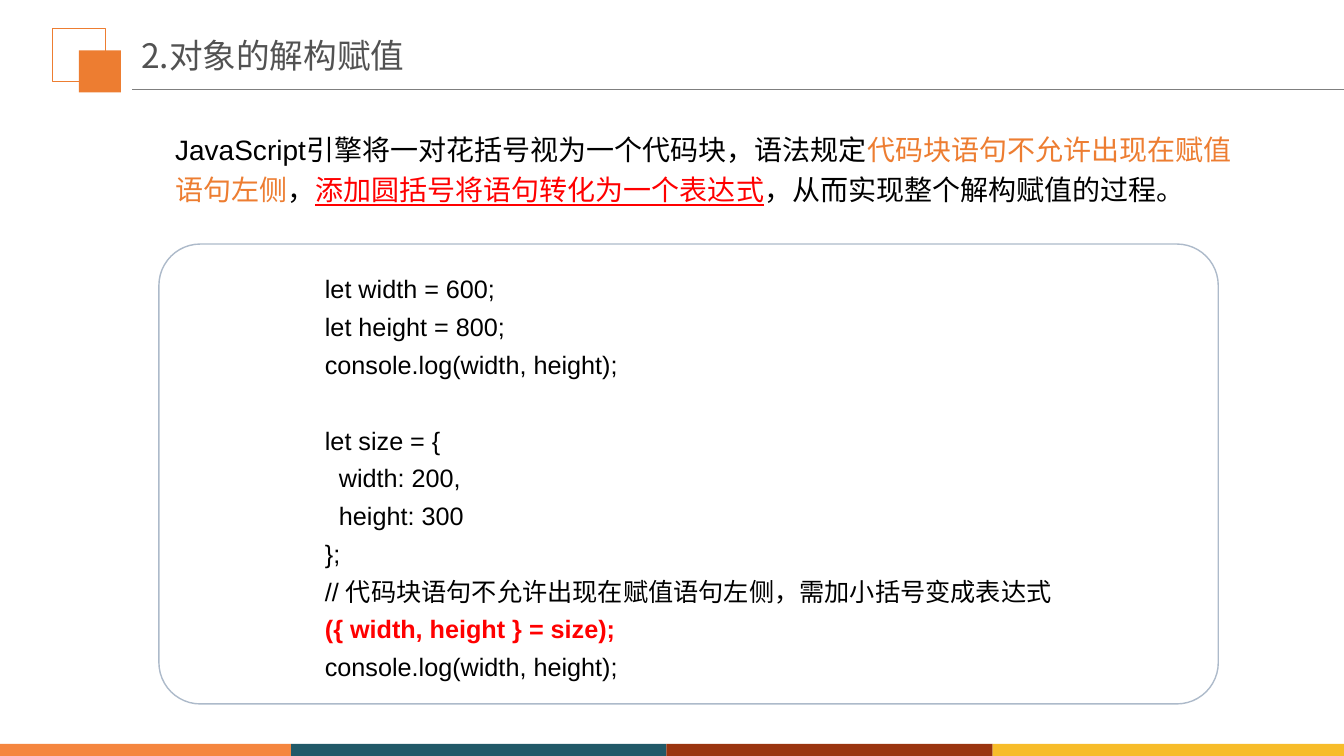
from itertools import pairwise

from pptx import Presentation
from pptx.dml.color import RGBColor as Rgb
from pptx.enum.lang import MSO_LANGUAGE_ID as Lang
from pptx.enum.shapes import MSO_CONNECTOR as Link, MSO_SHAPE as Shape
from pptx.enum.text import MSO_ANCHOR as Anchor, MSO_AUTO_SIZE as Fit, PP_ALIGN as Align
from pptx.oxml.ns import qn
from pptx.util import Pt

COLORS = {
    "orange": "ED7D31", "red": "FF0000", "black": "000000", "title": "525252",
    "rule": "7F7F7F", "frame": "ADBACA", "stripe_orange": "F5863F",
    "stripe_teal": "215968", "stripe_rust": "9A340F", "stripe_gold": "F7BC29",
}
HAN_FONT = "Noto Sans CJK SC"
PAGE_WIDTH, PAGE_HEIGHT = 960, 540

TITLE = "2.对象的解构赋值"
EXPLANATION = [
    ("JavaScript引擎将一对花括号视为一个代码块，语法规定", {}),
    ("代码块语句不允许出现在赋值语句左侧", {"color": "orange"}),
    ("，", {}),
    ("添加圆括号将语句转化为一个表达式", {"color": "red", "underline": True}),
    ("，从而实现整个解构赋值的过程。", {}),
]
NESTED = {"indent": 10}
CODE_LINES = [
    ("let width = 600;", {}, {}),
    ("let height = 800;", {}, {}),
    ("console.log(width, height);", {}, {}),
    ("let size = {", {}, {"space_before": Pt(27)}),
    ("width: 200,", {}, NESTED),
    ("height: 300", {}, NESTED),
    ("};", {}, {}),
    ("// 代码块语句不允许出现在赋值语句左侧，需加小括号变成表达式", {}, {}),
    ("({ width, height } = size);", {"color": "red", "bold": True}, {}),
    ("console.log(width, height);", {}, {}),
]


def set_all(target, values):
    """Set every attribute in a dict of format values."""
    for name, value in values.items():
        setattr(target, name, value)


def place(shape, box):
    """Move a shape to a box of left, top, width and height."""
    set_all(shape, dict(zip(("left", "top", "width", "height"), map(Pt, box))))


def add_span(para, text, size, color="black", name="Arial", **style):
    """Add a formatted run with its Latin and Chinese fonts."""
    span = para.add_run()
    span.text = text
    set_all(span.font, {"size": Pt(size), "name": name,
                        "language_id": Lang.SIMPLIFIED_CHINESE, **style})
    span.font.color.rgb = Rgb.from_string(COLORS[color])
    latin = span.font._element.find(qn("a:latin"))
    latin.addnext(latin.makeelement(qn("a:ea"), {"typeface": HAN_FONT}))


def format_para(para, indent=0, **style):
    """Set the spacing and left indent of a paragraph."""
    set_all(para, style)
    if indent:
        para._p.get_or_add_pPr().set("marL", str(Pt(indent)))


def add_block(page, kind, box, fill=None, line=None, weight=1):
    """Add a flat preset shape with an optional fill and outline."""
    shape = page.shapes.add_shape(kind, *map(Pt, box))
    shape.shadow.inherit = False
    if fill:
        shape.fill.solid()
        shape.fill.fore_color.rgb = Rgb.from_string(COLORS[fill])
    else:
        shape.fill.background()
    if line:
        shape.line.color.rgb = Rgb.from_string(COLORS[line])
        shape.line.width = Pt(weight)
    else:
        shape.line.fill.background()
    return shape


def add_text_frame(page, box):
    """Add a wrapping text box and return its frame."""
    frame = page.shapes.add_textbox(*map(Pt, box)).text_frame
    set_all(frame, {"word_wrap": True, "auto_size": Fit.SHAPE_TO_FIT_TEXT})
    return frame


def add_header(page, box):
    """Draw the paired squares, the rule and the title."""
    left, top, width, height = box
    add_block(page, Shape.RECTANGLE, (left, top, 38, 38), line="orange", weight=0.75)
    add_block(page, Shape.RECTANGLE, (left + 19, top + 15.5, 30, 30), fill="orange")
    rule_y = top + height
    rule = page.shapes.add_connector(
        Link.STRAIGHT, *map(Pt, (left + 57, rule_y, left + width, rule_y)))
    rule.line.color.rgb = Rgb.from_string(COLORS["rule"])
    rule.line.width = Pt(0.75)
    effects = rule._element.spPr
    effects.append(effects.makeelement(qn("a:effectLst"), {}))
    title = page.shapes.title
    place(title, (left + 56.2, top, 381, 41.8))
    set_all(title.text_frame, {"vertical_anchor": Anchor.MIDDLE, "word_wrap": True,
                               "auto_size": Fit.NONE})
    para = title.text_frame.paragraphs[0]
    format_para(para, alignment=Align.LEFT, line_spacing=0.9)
    add_span(para, TITLE, 24, "title", HAN_FONT)


def add_explanation(page, box):
    """Write the explanation with its highlighted phrases."""
    para = add_text_frame(page, box).paragraphs[0]
    format_para(para, line_spacing=1.2)
    for text, style in EXPLANATION:
        add_span(para, text, 20, **style)


def add_code_panel(page, box):
    """Draw the rounded frame and the code listing inside it."""
    left, top, width, height = box
    panel = add_block(page, Shape.ROUNDED_RECTANGLE, box, line="frame")
    panel.adjustments[0] = 0.09
    frame = add_text_frame(page, (left + 111.5, top + 12.3, width - 159, height - 24))
    for index, (text, style, layout) in enumerate(CODE_LINES):
        para = frame.add_paragraph() if index else frame.paragraphs[0]
        format_para(para, line_spacing=1.25, **layout)
        add_span(para, text, 18, **style)


def add_footer(page, box):
    """Fill the footer box with four coloured stripes."""
    left, top, width, height = box
    edges = (0, 208, 476, 709, width)
    fills = ("stripe_orange", "stripe_teal", "stripe_rust", "stripe_gold")
    for (start, end), fill in zip(pairwise(edges), fills):
        add_block(page, Shape.RECTANGLE, (left + start, top, end - start, height), fill)


def main():
    """Build the slide and save the deck."""
    deck = Presentation()
    set_all(deck, {"slide_width": Pt(PAGE_WIDTH), "slide_height": Pt(PAGE_HEIGHT)})
    page = deck.slides.add_slide(deck.slide_layouts.get_by_name("Title Only"))
    add_header(page, (37.4, 20.5, PAGE_WIDTH - 37.4, 43.5))
    add_footer(page, (0, 531.4, PAGE_WIDTH, 8.6))
    add_code_panel(page, (113.5, 174.3, 756.7, 328.5))
    add_explanation(page, (118, 86.4, 772.5, 65.5))
    deck.save("out.pptx")


if __name__ == "__main__":
    main()
